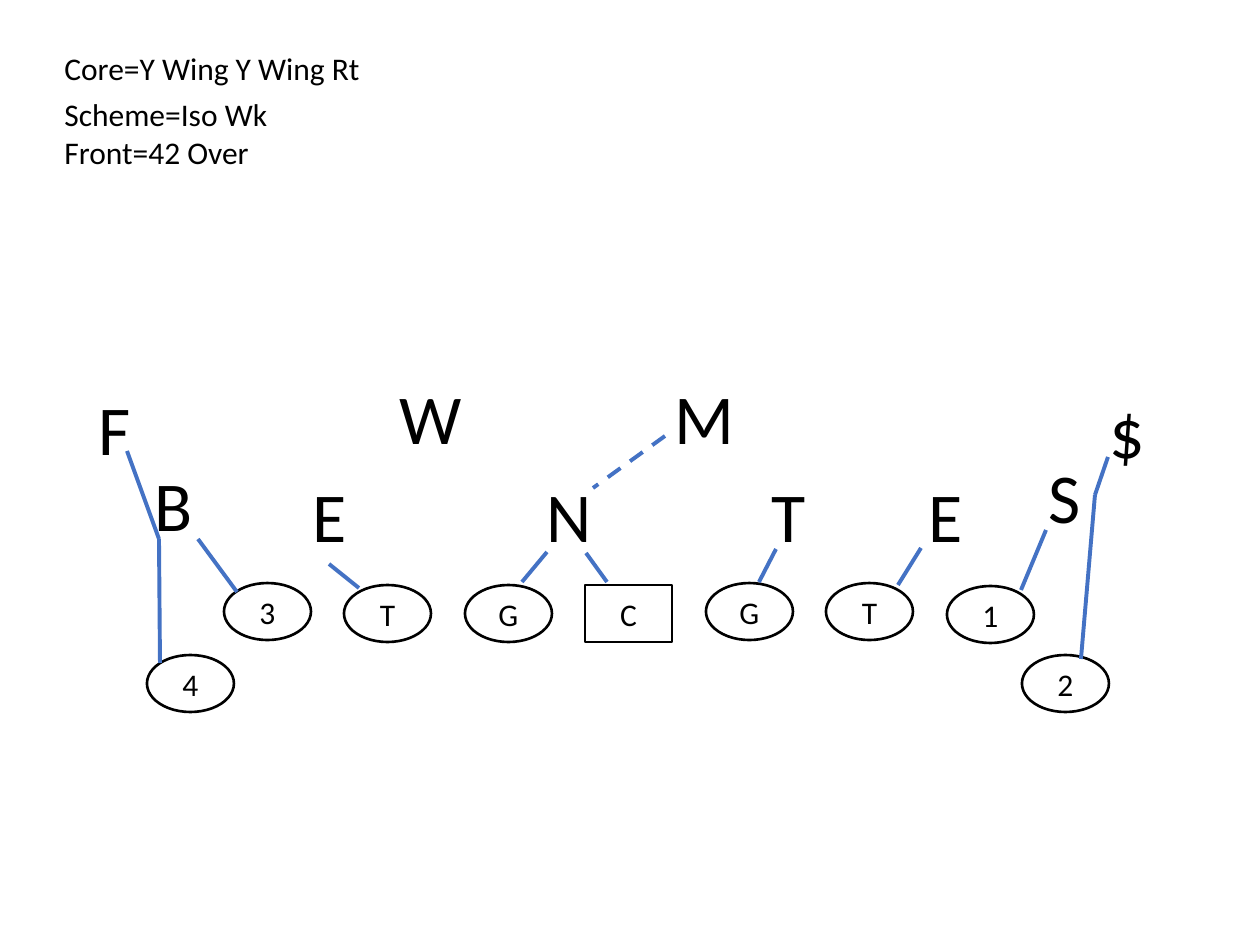
from lxml import etree
from pptx import Presentation
from pptx.dml.color import RGBColor
from pptx.enum.dml import MSO_LINE
from pptx.enum.shapes import MSO_CONNECTOR, MSO_SHAPE
from pptx.enum.text import MSO_ANCHOR, MSO_AUTO_SIZE, PP_ALIGN
from pptx.oxml.ns import qn
from pptx.util import Emu, Pt

OVAL, SQUARE = MSO_SHAPE.OVAL, MSO_SHAPE.RECTANGLE
STRAIGHT, DASH = MSO_CONNECTOR.STRAIGHT, MSO_LINE.DASH
MIDDLE, CENTER = MSO_ANCHOR.MIDDLE, PP_ALIGN.CENTER
FIT_TEXT = MSO_AUTO_SIZE.SHAPE_TO_FIT_TEXT

COLORS = {"ink": "000000", "paper": "FFFFFF", "block": "4472C4"}
FONT = "Calibri"
PLAYER_WIDTH, PLAYER_HEIGHT = 87, 57
LINE_LEFT, LINE_WIDTH = 224, 723
HEADING_LEFT, HEADING_HEIGHT = 52, 50
DEFENDER_HEIGHT = 97

HEADINGS = [
    ("Core=Y Wing Y Wing Rt", 43, 324),
    ("Scheme=Iso Wk", 89, 231),
    ("Front=42 Over", 127, 219),
]
LINEMEN = [("3", 583), ("T", 585), ("G", 585), ("C", 585),
           ("G", 583), ("T", 583), ("1", 586)]
BACKS = [("4", 147, 655), ("2", 1022, 655)]
DEFENDERS = [
    ("F", 86, 379, 44), ("B", 142, 455, 64), ("E", 300, 466, 60),
    ("W", 387, 368, 88), ("N", 534, 466, 71), ("M", 662, 368, 88),
    ("T", 759, 466, 60), ("E", 916, 466, 60), ("S", 1036, 447, 60),
    ("$", 1097, 382, 49),
]
BLOCKS = [
    (329, 564, 359, 588), (547, 552, 522, 582), (586, 553, 607, 582),
    (776, 549, 759, 582), (921, 548, 898, 585), (1046, 530, 1021, 590),
    (1095, 495, 1081, 659), (1095, 495, 1108, 457), (237, 592, 198, 539),
    (160, 663, 159, 539), (159, 539, 127, 451),
]
CLIMB_TO_MIKE = (665, 436, 593, 488)


def px(length):
    return Emu(round(length * 914400 / 126))


def color(key):
    return RGBColor.from_string(COLORS[key])


def write(frame, text, size):
    paragraph = frame.paragraphs[0]
    paragraph.text = text
    paragraph.font.name = FONT
    paragraph.font.size = Pt(size)
    paragraph.font.color.rgb = color("ink")
    return paragraph


def add_label(slide, text, left, top, width, height, size):
    label = slide.shapes.add_textbox(px(left), px(top), px(width), px(height))
    label.text_frame.word_wrap = False
    label.text_frame.auto_size = FIT_TEXT
    write(label.text_frame, text, size)


def add_player(slide, text, left, top):
    outline = SQUARE if text == "C" else OVAL
    player = slide.shapes.add_shape(
        outline, px(left), px(top), px(PLAYER_WIDTH), px(PLAYER_HEIGHT))
    player.shadow.inherit = False
    player.fill.solid()
    player.fill.fore_color.rgb = color("paper")
    player.line.color.rgb = color("ink")
    player.line.width = Pt(1.5)
    player.text_frame.vertical_anchor = MIDDLE
    write(player.text_frame, text, 18).alignment = CENTER


def add_block(slide, points, dash=None):
    block = slide.shapes.add_connector(STRAIGHT, *map(px, points))
    block.line.color.rgb = color("block")
    block.line.width = Pt(2.25)
    if dash:
        block.line.dash_style = dash
    etree.SubElement(block._element.spPr, qn("a:effectLst"))


def main():
    prs = Presentation()
    prs.slide_width, prs.slide_height = px(1260), px(945)
    slide = prs.slides.add_slide(prs.slide_layouts[6])

    for text, top, width in HEADINGS:
        add_label(slide, text, HEADING_LEFT, top, width, HEADING_HEIGHT, 18)
    for i, (text, top) in enumerate(LINEMEN):
        left = LINE_LEFT + i * LINE_WIDTH // (len(LINEMEN) - 1)
        add_player(slide, text, left, top)
    for text, left, top in BACKS:
        add_player(slide, text, left, top)
    for text, left, top, width in DEFENDERS:
        add_label(slide, text, left, top, width, DEFENDER_HEIGHT, 40)
    for points in BLOCKS:
        add_block(slide, points)
    add_block(slide, CLIMB_TO_MIKE, DASH)

    prs.save("out.pptx")


if __name__ == "__main__":
    main()
